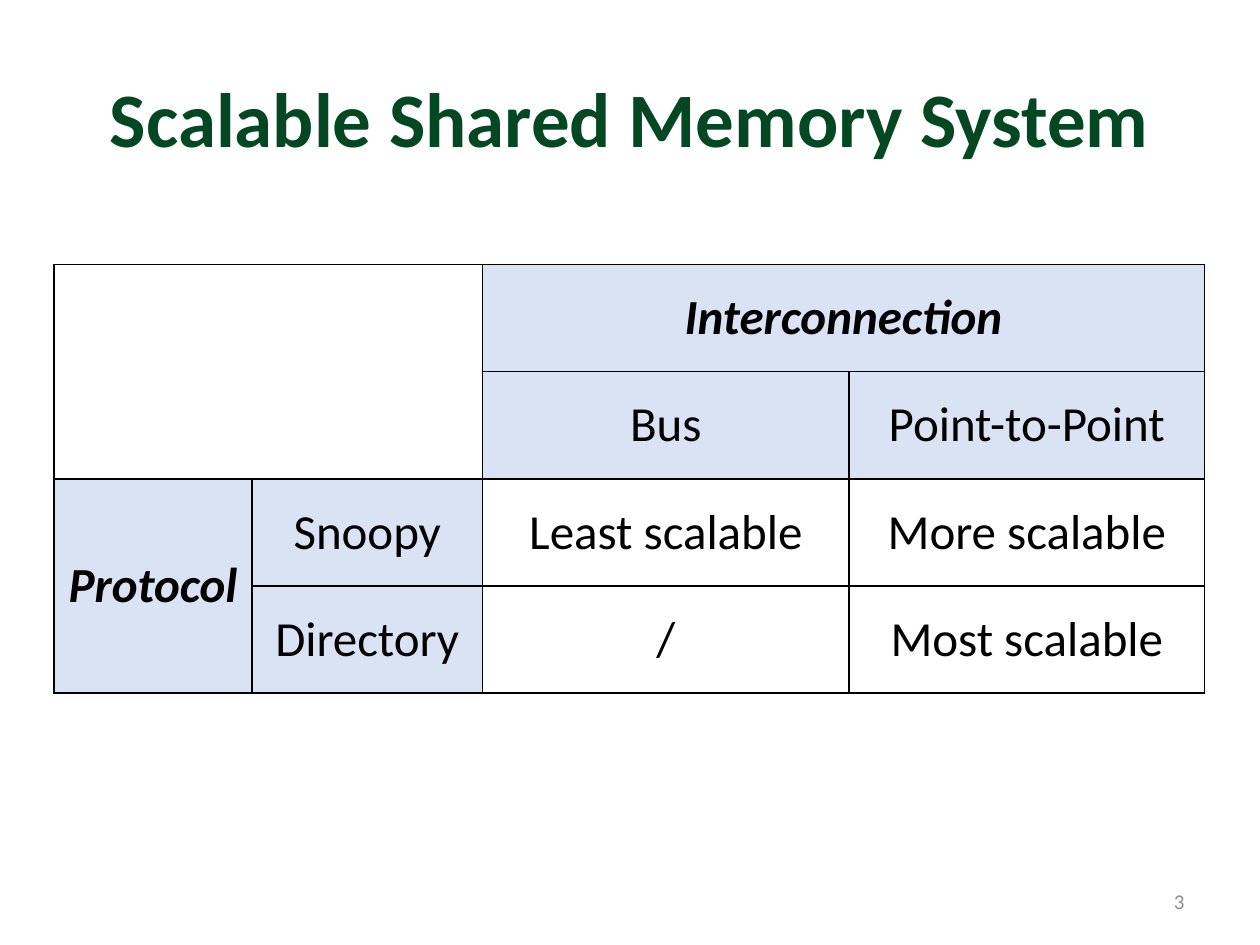
from dataclasses import dataclass

from lxml.etree import SubElement
from pptx import Presentation
from pptx.dml.color import RGBColor
from pptx.enum.text import MSO_ANCHOR as Anchor, PP_ALIGN as Align
from pptx.oxml.ns import qn
from pptx.util import Inches, Pt


@dataclass(frozen=True)
class Theme:
    font: str = "Calibri"
    title: str = "044823"
    ink: str = "000000"
    muted: str = "8C8C8C"
    header: str = "DAE3F3"
    title_size: int = 44
    cell_size: int = 28
    number_size: int = 12
    border: int = 1


theme = Theme()


def write(frame, text, size=theme.cell_size, color=theme.ink, bold=False,
          italic=False, align=Align.CENTER):
    frame.word_wrap = True
    paragraph = frame.paragraphs[0]
    paragraph.alignment = align
    run = paragraph.add_run()
    run.text = text
    run.font.name = theme.font
    run.font.size = Pt(size)
    run.font.bold = bold
    run.font.italic = italic
    run.font.color.rgb = RGBColor.from_string(color)


def add_borders(cell):
    properties = cell._tc.get_or_add_tcPr()
    for position, side in enumerate(("lnL", "lnR", "lnT", "lnB")):
        line = properties.makeelement(qn(f"a:{side}"), {"w": str(Pt(theme.border))})
        fill = SubElement(line, qn("a:solidFill"))
        SubElement(fill, qn("a:srgbClr"), val=theme.ink)
        properties.insert(position, line)


presentation = Presentation()
presentation.slide_width = Inches(10)
presentation.slide_height = Inches(7.5)
slide = presentation.slides.add_slide(presentation.slide_layouts[5])

# Title
heading = slide.shapes.title
heading.left, heading.top = Inches(0.5), Inches(0.3)
heading.width, heading.height = Inches(9), Inches(1.25)
heading.text_frame.vertical_anchor = Anchor.MIDDLE
write(heading.text_frame, "Scalable Shared Memory System",
      size=theme.title_size, color=theme.title, bold=True)

# Scalability by protocol (rows) and interconnection (columns)
column_widths = [1.57, 1.83, 2.91, 2.82]
row_height = 0.85
scalability_rows = [
    ["", "", "Interconnection", ""],
    ["", "", "Bus", "Point-to-Point"],
    ["Protocol", "Snoopy", "Least scalable", "More scalable"],
    ["", "Directory", "/", "Most scalable"],
]
group_headings = ("Interconnection", "Protocol")
header_span = 2
scalability = slide.shapes.add_table(
    len(scalability_rows), len(column_widths), Inches(0.43), Inches(2.1),
    Inches(sum(column_widths)), Inches(row_height * len(scalability_rows))).table

for column, width in zip(scalability.columns, column_widths):
    column.width = Inches(width)
for row in scalability.rows:
    row.height = Inches(row_height)

for row, labels in enumerate(scalability_rows):
    for column, label in enumerate(labels):
        cell = scalability.cell(row, column)
        cell.vertical_anchor = Anchor.MIDDLE
        # Exactly one header direction: column headings or row headings
        if (row < header_span) != (column < header_span):
            cell.fill.solid()
            cell.fill.fore_color.rgb = RGBColor.from_string(theme.header)
        else:
            cell.fill.background()
        add_borders(cell)
        if label:
            grouped = label in group_headings
            write(cell.text_frame, label, bold=grouped, italic=grouped)

# Corner, interconnection and protocol spans
for first, last in (((0, 0), (1, 1)), ((0, 2), (0, 3)), ((2, 0), (3, 0))):
    scalability.cell(*first).merge(scalability.cell(*last))

# Slide number
page_number = slide.shapes.add_textbox(
    Inches(7.17), Inches(6.95), Inches(2.33), Inches(0.4)).text_frame
page_number.vertical_anchor = Anchor.MIDDLE
write(page_number, "3", size=theme.number_size, color=theme.muted, align=Align.RIGHT)

presentation.save("out.pptx")
